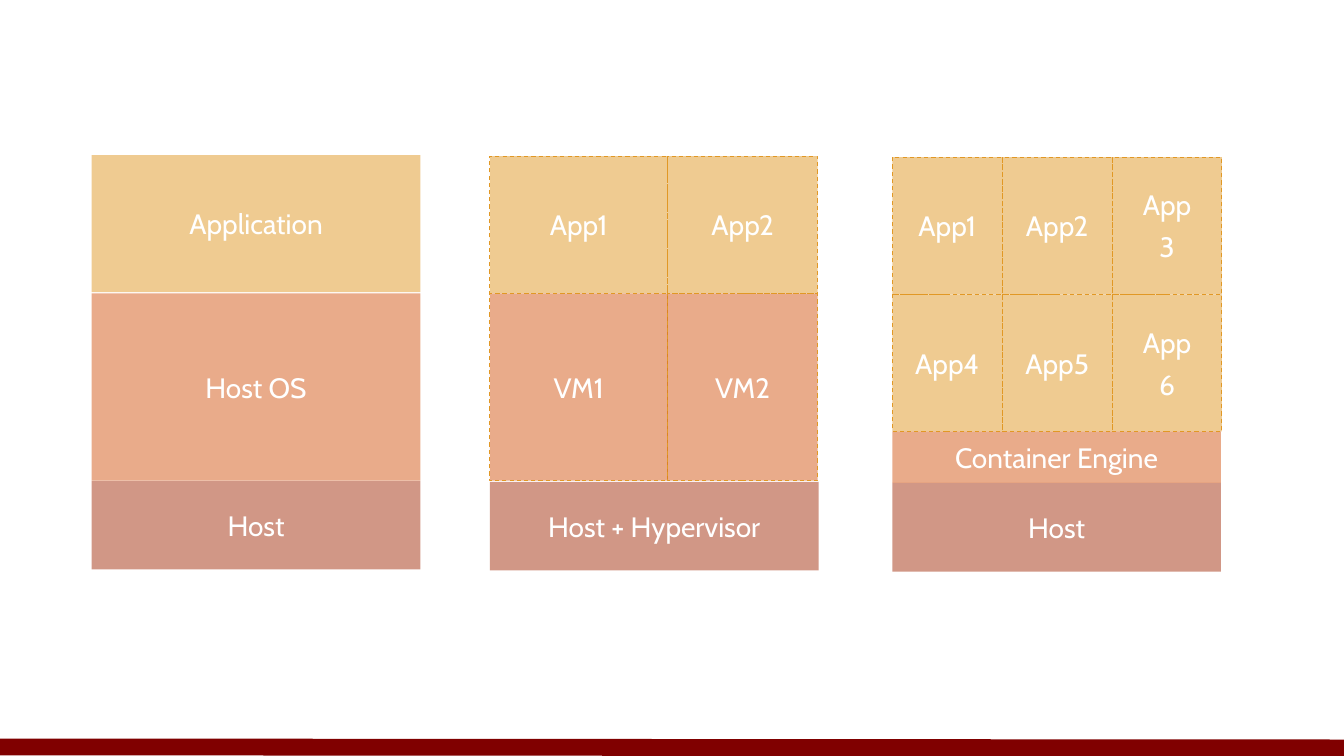
from lxml.etree import SubElement
from pptx import Presentation
from pptx.dml.color import RGBColor
from pptx.enum.dml import MSO_LINE
from pptx.enum.shapes import MSO_CONNECTOR, MSO_SHAPE
from pptx.enum.text import MSO_ANCHOR, PP_ALIGN
from pptx.oxml.ns import qn
from pptx.util import Inches, Pt

HOST_RED = RGBColor(0xA5, 0x30, 0x0F)
SYSTEM_ORANGE = RGBColor(0xD5, 0x58, 0x16)
APP_GOLD = RGBColor(0xE1, 0x98, 0x25)
FOOTER_MAROON = RGBColor(0x80, 0x00, 0x00)
WHITE = RGBColor(0xFF, 0xFF, 0xFF)

SLIDE_WIDTH, SLIDE_HEIGHT = 13.33, 7.5
STACK_WIDTH = 3.26
HOST_HEIGHT, SYSTEM_HEIGHT, ENGINE_HEIGHT, APP_HEIGHT = 0.88, 1.86, 0.51, 1.36
VM_WIDTHS = (1.76, 1.49)
CONTAINER_WIDTHS = (1.09,) * 3
INSET = Inches(0.2)
FRAME_FORMAT = {
    "word_wrap": True,
    "vertical_anchor": MSO_ANCHOR.MIDDLE,
    "margin_left": INSET,
    "margin_top": INSET,
    "margin_right": INSET,
    "margin_bottom": INSET,
}
FONT_FORMAT = {"name": "Cabin", "size": Pt(20)}


def apply_format(target, values):
    """Set each named attribute on the target."""
    for name, value in values.items():
        setattr(target, name, value)


def fill_half_transparent(shape, color):
    """Fill a shape with a colour at 50% opacity."""
    shape.fill.solid()
    shape.fill.fore_color.rgb = color
    color_element = shape.fill._xPr.find(qn("a:solidFill"))[0]
    SubElement(color_element, qn("a:alpha"), val="50000")


def write_label(shape, label):
    """Write centred white text, one paragraph per line of the label."""
    frame = shape.text_frame
    apply_format(frame, FRAME_FORMAT)
    frame.text = label
    for index, paragraph in enumerate(frame.paragraphs):
        paragraph.alignment = PP_ALIGN.CENTER
        paragraph.space_before = Pt(6 if index else 0)
        apply_format(paragraph.font, FONT_FORMAT)
        paragraph.font.color.rgb = WHITE


def add_block(slide, label, left, top, width, height, color, dashed=False):
    """Add one labelled rectangle, with a dashed gold border if asked."""
    shape = slide.shapes.add_shape(
        MSO_SHAPE.RECTANGLE, Inches(left), Inches(top), Inches(width), Inches(height)
    )
    shape.shadow.inherit = False
    fill_half_transparent(shape, color)
    if dashed:
        shape.line.color.rgb = APP_GOLD
        apply_format(shape.line, {"width": Pt(0.75), "dash_style": MSO_LINE.DASH})
    else:
        shape.line.fill.background()
    write_label(shape, label)


def add_dashed_row(slide, labels, left, top, widths, height, color):
    """Add adjoining dashed blocks from left to right."""
    for label, width in zip(labels, widths):
        add_block(slide, label, left, top, width, height, color, dashed=True)
        left += width


def add_footer_line(slide):
    """Add the thick line along the bottom edge."""
    line = slide.shapes.add_connector(
        MSO_CONNECTOR.STRAIGHT,
        Inches(0), Inches(7.41), Inches(SLIDE_WIDTH), Inches(7.42),
    )
    line.line.color.rgb = FOOTER_MAROON
    line.line.width = Pt(12)
    SubElement(line._element.spPr, qn("a:effectLst"))


def add_single_host(slide, left):
    """Add the stack of one application on one operating system."""
    add_block(slide, "Host", left, 4.77, STACK_WIDTH, HOST_HEIGHT, HOST_RED)
    add_block(slide, "Host OS", left, 2.91, STACK_WIDTH, SYSTEM_HEIGHT, SYSTEM_ORANGE)
    add_block(slide, "Application", left, 1.54, STACK_WIDTH, APP_HEIGHT, APP_GOLD)


def add_virtual_machines(slide, left):
    """Add the stack of two virtual machines on a hypervisor."""
    add_block(slide, "Host + Hypervisor", left, 4.78, STACK_WIDTH, HOST_HEIGHT, HOST_RED)
    add_dashed_row(slide, ("VM1", "VM2"), left, 2.91, VM_WIDTHS, SYSTEM_HEIGHT, SYSTEM_ORANGE)
    add_dashed_row(slide, ("App1", "App2"), left, 1.55, VM_WIDTHS, APP_HEIGHT, APP_GOLD)


def add_containers(slide, left):
    """Add the stack of six containers on a container engine."""
    add_block(slide, "Host", left, 4.79, STACK_WIDTH, HOST_HEIGHT, HOST_RED)
    add_block(slide, "Container Engine", left, 4.28, STACK_WIDTH, ENGINE_HEIGHT, SYSTEM_ORANGE)
    app_rows = (("App1", "App2", "App\n3"), ("App4", "App5", "App\n6"))
    for row, labels in enumerate(app_rows):
        top = 1.56 + row * APP_HEIGHT
        add_dashed_row(slide, labels, left, top, CONTAINER_WIDTHS, APP_HEIGHT, APP_GOLD)


def main():
    """Build the slide and save it."""
    presentation = Presentation()
    presentation.slide_width = Inches(SLIDE_WIDTH)
    presentation.slide_height = Inches(SLIDE_HEIGHT)
    slide = presentation.slides.add_slide(presentation.slide_layouts[6])
    add_footer_line(slide)
    add_single_host(slide, 0.91)
    add_virtual_machines(slide, 4.86)
    add_containers(slide, 8.85)
    presentation.save("out.pptx")


if __name__ == "__main__":
    main()
